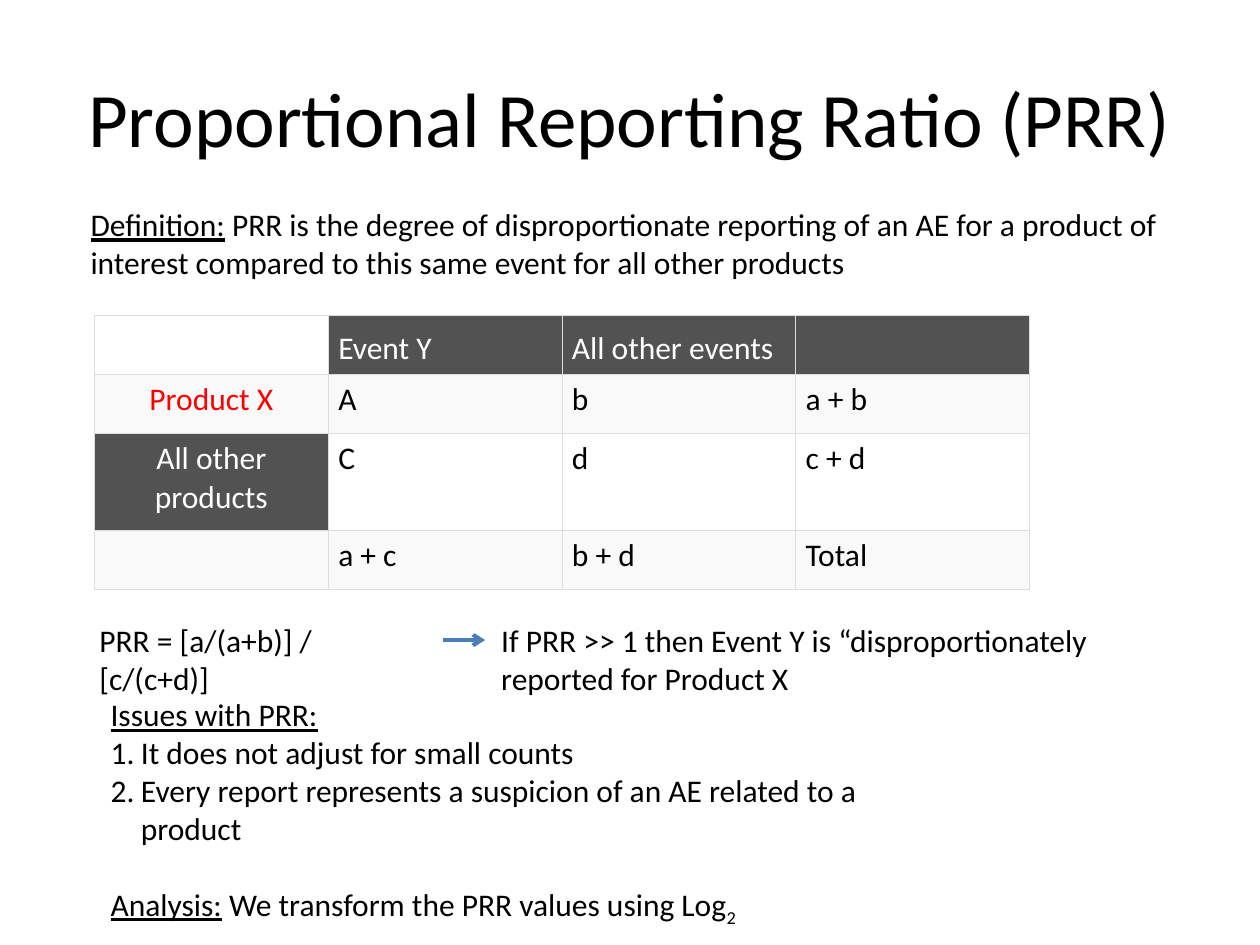
import pptx
import pptx.dml.color
import pptx.enum.shapes
import pptx.enum.text
import pptx.oxml
import pptx.oxml.ns
import pptx.util
from pptx.util import Inches

ALIGN = pptx.enum.text.PP_ALIGN
ANCHOR = pptx.enum.text.MSO_ANCHOR
BLACK, WHITE, RED = "000000", "FFFFFF", "FF0000"
DARK, PALE, BORDER, BLUE = "525252", "F9F9F9", "DDDDDD", "4A7EBB"


def rgb(value):
    return pptx.dml.color.RGBColor.from_string(value)


def element(xml):
    ns = pptx.oxml.ns.nsdecls("a")
    return pptx.oxml.parse_xml(xml.replace("/>", f" {ns}/>", 1) if xml.endswith("/>") and xml.count("<") == 1
                               else xml.replace(">", f" {ns}>", 1))


def add_text(p, text, size=18, color=BLACK, underline=None, baseline=None, font="Calibri"):
    r = p.add_run()
    r.text = text
    r.font.name = font
    r.font.size = pptx.util.Pt(size)
    r.font.color.rgb = rgb(color)
    r.font.underline = underline
    if baseline is not None:
        r.font._element.set("baseline", str(baseline))


class SlideBuilder:
    def __init__(self, prs):
        self.s = prs.slides.add_slide(prs.slide_layouts[6])

    def text(self, box, paragraphs, align=ALIGN.LEFT, anchor=ANCHOR.TOP, wrap=False, grow=True, **style):
        sp = self.s.shapes.add_textbox(*map(Inches, box))
        tf = sp.text_frame
        tf.word_wrap = wrap
        tf.vertical_anchor = anchor
        if grow:
            tf.auto_size = pptx.enum.text.MSO_AUTO_SIZE.SHAPE_TO_FIT_TEXT
        for i, runs in enumerate(paragraphs):
            p = tf.add_paragraph() if i else tf.paragraphs[0]
            p.alignment = align
            for text, extra in runs:
                add_text(p, text, **{**style, **extra})
        return tf

    def number(self, p, indent):
        pPr = p._p.get_or_add_pPr()
        pPr.set("marL", str(Inches(indent)))
        pPr.set("indent", str(-Inches(indent)))
        pPr.append(element('<a:buFont typeface="Calibri"/>'))
        pPr.append(element('<a:buAutoNum type="arabicPeriod"/>'))

    def cell(self, cell, text, fill, color, align, anchor):
        cell.fill.solid()
        cell.fill.fore_color.rgb = rgb(fill)
        cell.vertical_anchor = anchor
        cell.margin_left = cell.margin_right = Inches(0.08)
        cell.margin_top = cell.margin_bottom = Inches(0.05)
        p = cell.text_frame.paragraphs[0]
        p.alignment = align
        if text:
            add_text(p, text, color=color)
        tcPr = cell._tc.get_or_add_tcPr()
        for i, side in enumerate("LRTB"):
            tcPr.insert(i, element(
                f'<a:ln{side} w="{pptx.util.Pt(0.34)}"><a:solidFill>'
                f'<a:srgbClr val="{BORDER}"/></a:solidFill></a:ln{side}>'))

    def table(self, box, rows, heights):
        table = self.s.shapes.add_table(len(rows), len(rows[0]), *map(Inches, box)).table
        table.first_row = table.horz_banding = False
        for row, height in zip(table.rows, heights):
            row.height = Inches(height)
        for y, row in enumerate(rows):
            for x, text in enumerate(row):
                dark = (y == 0 and x > 0) or (y == 2 and x == 0)
                fill = DARK if dark else PALE if y % 2 else WHITE
                color = WHITE if dark else RED if (y, x) == (1, 0) else BLACK
                self.cell(table.cell(y, x), text, fill, color,
                          ALIGN.LEFT if x else ALIGN.CENTER,
                          ANCHOR.TOP if y else ANCHOR.BOTTOM)

    def arrow(self, x1, y1, x2, y2):
        line = self.s.shapes.add_connector(
            pptx.enum.shapes.MSO_CONNECTOR.STRAIGHT, *map(Inches, (x1, y1, x2, y2)))
        line.line.color.rgb = rgb(BLUE)
        line.line.width = pptx.util.Pt(2.25)
        line.line._get_or_add_ln().append(element('<a:tailEnd type="arrow"/>'))
        line._element.spPr.append(element("<a:effectLst/>"))


def main():
    prs = pptx.Presentation()
    prs.slide_width, prs.slide_height = Inches(10), Inches(7.5)
    slide = SlideBuilder(prs)
    underlined = {"underline": True}

    slide.text((0.5, 0.3, 9, 1.25), [[("Proportional Reporting Ratio (PRR)", {})]],
               align=ALIGN.CENTER, anchor=ANCHOR.MIDDLE, wrap=True, grow=False, size=44)
    slide.text((0.62, 1.58, 8.69, 0.7), [
        [("Definition:", underlined),
         (" PRR is the degree of disproportionate reporting of an AE for a product of", {})],
        [("interest compared to this same event for all other products", {})],
    ])
    slide.table((0.75, 2.5, 7.42, 2.17), [
        ["", "Event Y", "All other events", ""],
        ["Product X", "A", "b", "a + b"],
        ["All other products", "C", "d", "c + d"],
        ["", "a + c", "b + d", "Total"],
    ], [0.47, 0.47, 0.77, 0.47])
    slide.text((0.69, 4.88, 2.81, 0.4), [[("PRR = [a/(a+b)] / [c/(c+d)]", {})]])
    slide.arrow(3.52, 5.08, 3.85, 5.08)
    slide.text((3.88, 4.88, 4.94, 0.7), [
        [("If PRR >> 1 then Event Y is “disproportionately", {})],
        [("reported for Product X", {})],
    ])
    tf = slide.text((0.78, 5.47, 6.5, 1.93), [
        [("Issues with PRR:", underlined)],
        [("It does not adjust for small counts", {})],
        [("Every report represents a suspicion of an AE related to a product", {})],
        [("Analysis:", underlined), (" We transform the PRR values using Log", {}),
         ("2", {"baseline": -25000})],
    ], wrap=True)
    for p in tf.paragraphs[1:3]:
        slide.number(p, 0.24)
    tf.paragraphs[3].space_before = pptx.util.Pt(22)
    prs.save("out.pptx")


if __name__ == "__main__":
    main()
